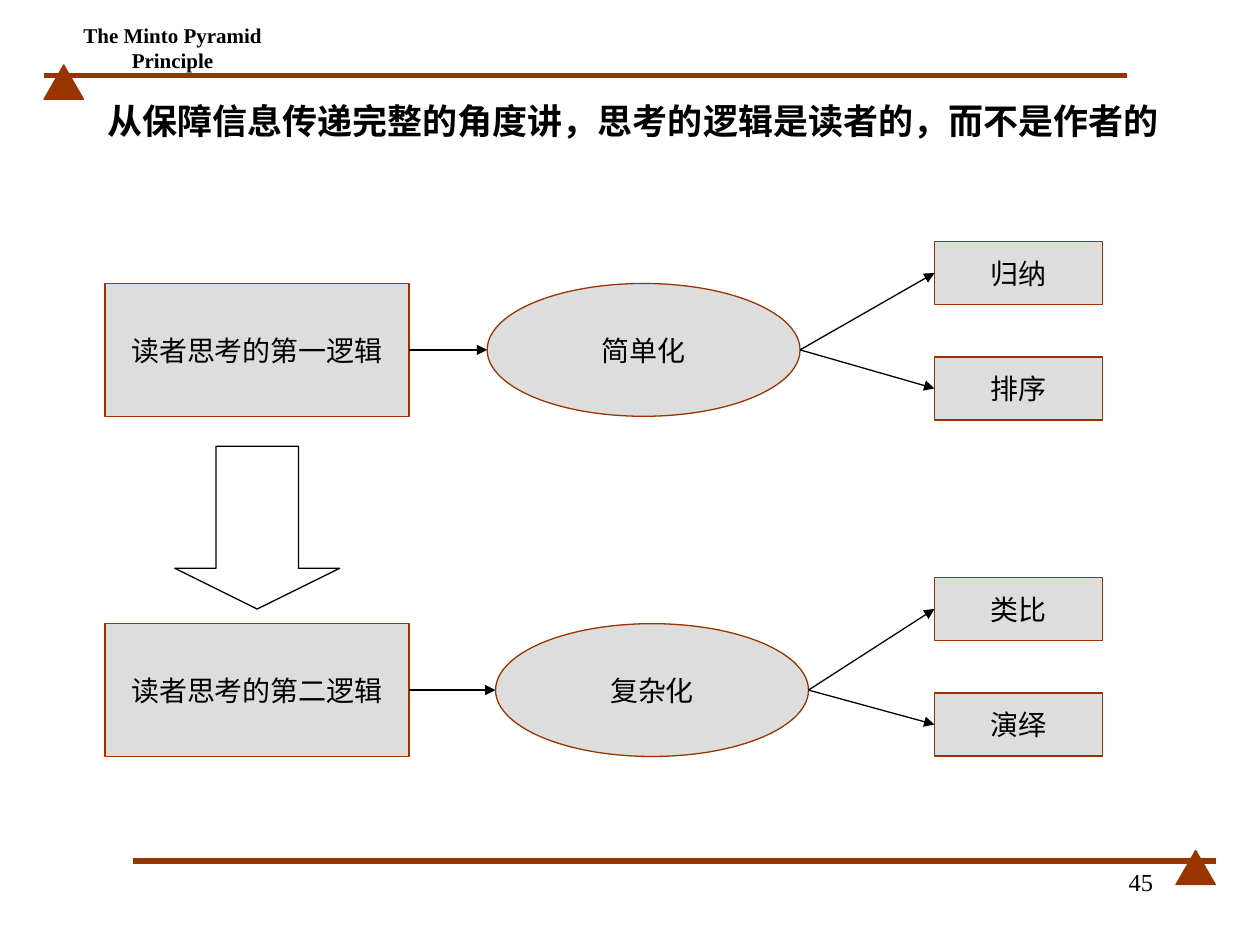
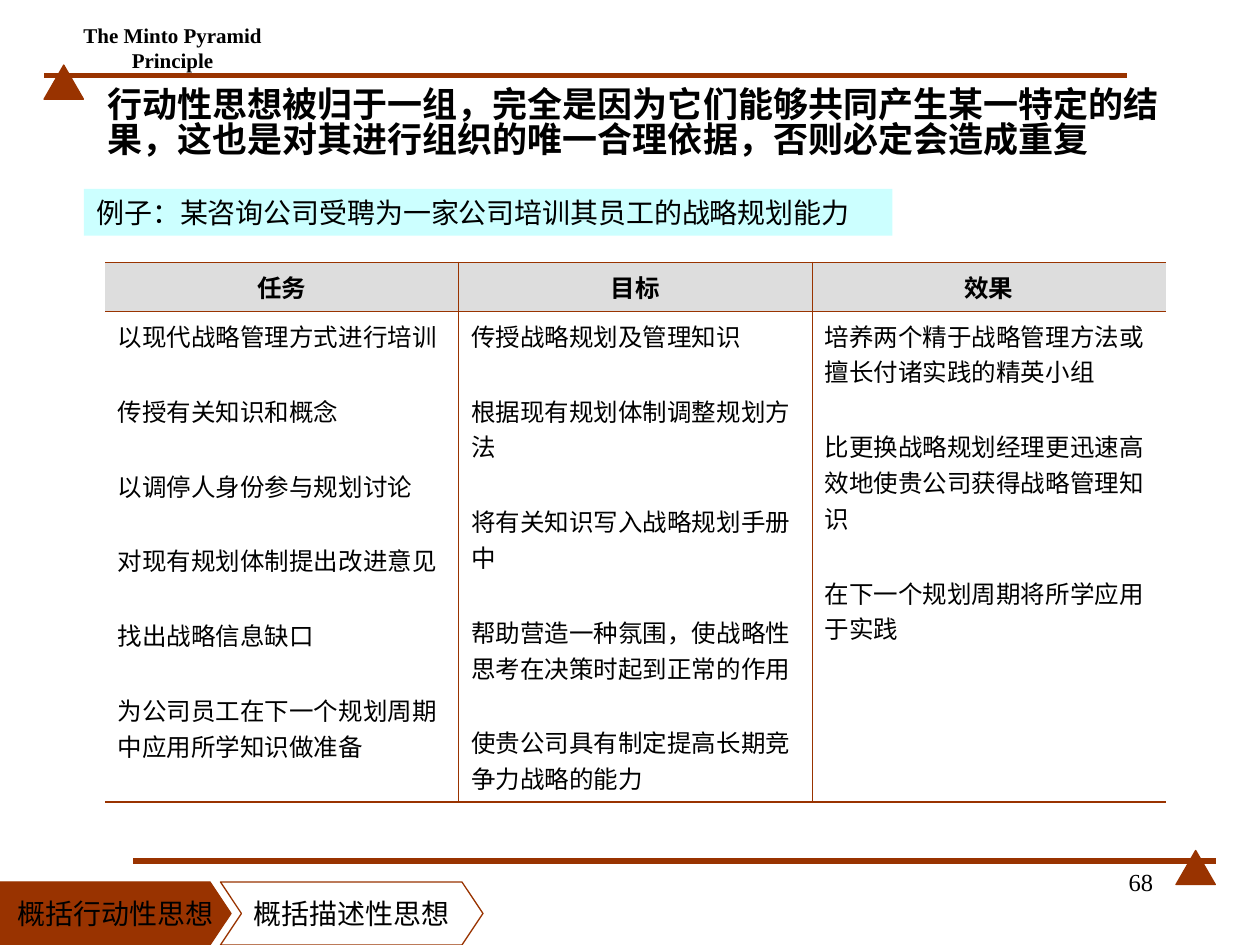
from lxml import etree
from pptx import Presentation
from pptx.dml.color import RGBColor
from pptx.enum.shapes import MSO_CONNECTOR, MSO_SHAPE
from pptx.enum.text import MSO_ANCHOR, MSO_AUTO_SIZE, PP_ALIGN
from pptx.oxml.ns import qn
from pptx.util import Inches, Pt

RECTANGLE, ELLIPSE = MSO_SHAPE.RECTANGLE, MSO_SHAPE.OVAL
TRIANGLE, DOWN_ARROW = MSO_SHAPE.ISOSCELES_TRIANGLE, MSO_SHAPE.DOWN_ARROW
STRAIGHT = MSO_CONNECTOR.STRAIGHT
LEFT, CENTER, RIGHT = PP_ALIGN.LEFT, PP_ALIGN.CENTER, PP_ALIGN.RIGHT
MIDDLE = MSO_ANCHOR.MIDDLE
NO_FIT = MSO_AUTO_SIZE.NONE

COLORS = {"rust": "993300", "grey": "DDDDDD", "cyan": "CCFFFF", "white": "FFFFFF", "black": "000000"}
FONT = "Times New Roman"
PLAIN_TABLE = "{2D5ABB26-0587-4C30-8999-92F81FD0307C}"

deck = Presentation()
deck.slide_width, deck.slide_height = Inches(10), Inches(7.5)
CELL = deck.slide_width / 120


def cells(*counts):
    return [round(count * CELL) for count in counts]


def finish(item, fill=None, edge=None, texts=(), size=16, bold=False, align=CENTER, gap=0):
    if fill:
        item.fill.solid()
        item.fill.fore_color.rgb = RGBColor.from_string(COLORS[fill])
    else:
        item.fill.background()
    if edge:
        item.shadow.inherit = False
        item.line.color.rgb = RGBColor.from_string(COLORS[edge])
        item.line.width = Pt(0.75)
        item.text_frame.vertical_anchor = MIDDLE
        item.text_frame.word_wrap = False
    for index, text in enumerate(texts):
        frame = item.text_frame
        para = frame.add_paragraph() if index else frame.paragraphs[0]
        para.alignment = align
        if index:
            para.space_before = Pt(gap)
        span = para.add_run()
        span.text = text
        span.font.name = FONT
        span.font.size = Pt(size)
        span.font.bold = bold
        span.font.color.rgb = RGBColor.from_string(COLORS["black"])
    return item


titles = [
    ("从保障信息传递完整的角度讲，思考的逻辑是读者的，而不是作者的", "45"),
    ("行动性思想被归于一组，完全是因为它们能够共同产生某一特定的结果，这也是对其进行组织的唯一合理依据，否则必定会造成重复", "68"),
]
pages, lines = [], []
for headline, number in titles:
    page = deck.slides.add_slide(deck.slide_layouts[5])
    pages.append(page)
    for line_left, line_top, triangle_left in [(4.2, 7.2, 4.2), (12.7, 82, 112)]:
        lines.append((page, line_left, line_top, line_left + 103.1, line_top, "rust", 3))
        triangle = page.shapes.add_shape(TRIANGLE, *cells(triangle_left, line_top - 1, 3.75, 3.25))
        finish(triangle, "rust", "rust")

    header = page.shapes.add_textbox(*cells(2.76, 2.88, 27.36, 3.36))
    header.text_frame.vertical_anchor = MIDDLE
    finish(header, texts=["The Minto Pyramid Principle"], size=12, bold=True)

    footer = page.shapes.add_textbox(*cells(86, 82, 25, 6))
    footer.text_frame.word_wrap = True
    finish(footer, texts=[number], size=14, align=RIGHT)

    title = page.shapes.title
    title.left, title.top, title.width, title.height = cells(9, 8, 104.9, 7.7)
    title.text_frame.auto_size = NO_FIT
    title.text_frame.word_wrap = True
    title.text_frame.vertical_anchor = MIDDLE
    finish(title, texts=[headline], size=20, bold=True, align=LEFT)
    title.text_frame.paragraphs[0].line_spacing = 0.83

logic_page, table_page = pages

LOGIC_LEFT, LOGIC_WIDTH, LOGIC_HEIGHT = 10, 28.95, 12.65
CHANGE_WIDTH = 29.8
BRANCH_LEFT, BRANCH_WIDTH, BRANCH_HEIGHT, BRANCH_PITCH = 89, 16, 6, 11
flows = [
    ("读者思考的第一逻辑", "简单化", ["归纳", "排序"], 27, 46.4, 23),
    ("读者思考的第二逻辑", "复杂化", ["类比", "演绎"], 59.4, 47.2, 55),
]
for logic, change, branches, top, change_left, branch_top in flows:
    middle = top + LOGIC_HEIGHT / 2
    change_right = change_left + CHANGE_WIDTH
    steps = [
        (RECTANGLE, logic, LOGIC_LEFT, top, LOGIC_WIDTH, LOGIC_HEIGHT),
        (ELLIPSE, change, change_left, top, CHANGE_WIDTH, LOGIC_HEIGHT),
    ]
    lines.append((logic_page, LOGIC_LEFT + LOGIC_WIDTH, middle, change_left, middle, "black", 0.75))
    for index, branch in enumerate(branches):
        y = branch_top + index * BRANCH_PITCH
        steps.append((RECTANGLE, branch, BRANCH_LEFT, y, BRANCH_WIDTH, BRANCH_HEIGHT))
        lines.append((logic_page, change_right, middle, BRANCH_LEFT, y + BRANCH_HEIGHT / 2, "black", 0.75))
    for outline, text, *place in steps:
        finish(logic_page.shapes.add_shape(outline, *cells(*place)), "grey", "rust", [text])

down_arrow = logic_page.shapes.add_shape(DOWN_ARROW, *cells(16.65, 42.5, 15.7, 15.5))
down_arrow.adjustments[0], down_arrow.adjustments[1] = 0.5, 0.25
finish(down_arrow, "white", "black")

for page, x1, y1, x2, y2, color, width in lines:
    connector = page.shapes.add_connector(STRAIGHT, *cells(x1, y1, x2, y2))
    connector.line.color.rgb = RGBColor.from_string(COLORS[color])
    connector.line.width = Pt(width)
    properties = connector.element.spPr
    if color == "black":
        etree.SubElement(properties.find(qn("a:ln")), qn("a:tailEnd"), type="triangle")
    etree.SubElement(properties, qn("a:effectLst"))

columns = [
    ("任务", [
        "以现代战略管理方式进行培训",
        "传授有关知识和概念",
        "以调停人身份参与规划讨论",
        "对现有规划体制提出改进意见",
        "找出战略信息缺口",
        "为公司员工在下一个规划周期中应用所学知识做准备",
    ]),
    ("目标", [
        "传授战略规划及管理知识",
        "根据现有规划体制调整规划方法",
        "将有关知识写入战略规划手册中",
        "帮助营造一种氛围，使战略性思考在决策时起到正常的作用",
        "使贵公司具有制定提高长期竞争力战略的能力",
    ]),
    ("效果", [
        "培养两个精于战略管理方法或擅长付诸实践的精英小组",
        "比更换战略规划经理更迅速高效地使贵公司获得战略管理知识",
        "在下一个规划周期将所学应用于实践",
    ]),
]
table_frame = table_page.shapes.add_table(2, len(columns), *cells(10, 25, 101, 51.4))
table = table_frame.table
table.first_row = table.horz_banding = False
next(table_frame.element.iter(qn("a:tableStyleId"))).text = PLAIN_TABLE
table.rows[0].height, table.rows[1].height = cells(4.65, 46.75)
for column, (heading, entries) in enumerate(columns):
    for row, texts in enumerate([[heading], entries]):
        cell = table.cell(row, column)
        borders = {
            "lnL": 0.45 if column else 0,
            "lnR": 0.45 if column < len(columns) - 1 else 0,
            "lnT": 0.45 if row else 1.08,
            "lnB": 1.08 if row else 0.45,
        }
        for side, width in borders.items():
            if width:
                border = etree.SubElement(cell._tc.get_or_add_tcPr(), qn("a:" + side), w=str(Pt(width)))
                paint = etree.SubElement(border, qn("a:solidFill"))
                etree.SubElement(paint, qn("a:srgbClr"), val=COLORS["rust"])
        if row:
            finish(cell, texts=texts, size=14, align=LEFT, gap=22.4)
        else:
            finish(cell, "grey", texts=texts, size=14, bold=True)

example = table_page.shapes.add_textbox(*cells(8, 18, 77, 4.45))
example.text_frame.word_wrap = True
finish(example, "cyan", texts=["例子：某咨询公司受聘为一家公司培训其员工的战略规划能力"], align=LEFT)

tabs = [
    ("概括行动性思想", "rust", [(0, 84), (20, 84), (22, 87), (20, 90), (0, 90)]),
    ("概括描述性思想", None, [(21, 84), (44, 84), (46, 87), (44, 90), (21, 90), (23, 87)]),
]
for text, fill, corners in tabs:
    start, *others = [cells(*corner) for corner in corners]
    builder = table_page.shapes.build_freeform(*start)
    builder.add_line_segments(others, close=True)
    finish(builder.convert_to_shape(), fill, "rust", [text])

deck.save("out.pptx")
